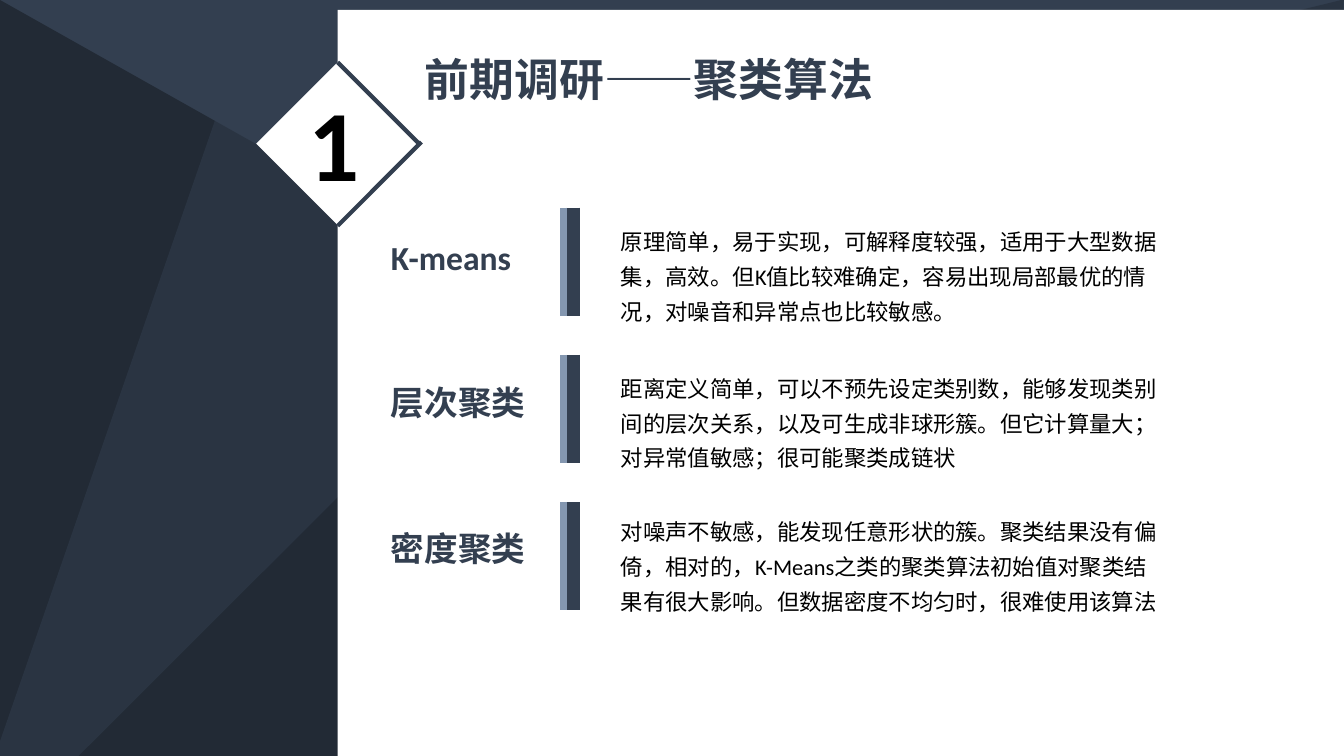
from dataclasses import dataclass

from lxml import etree
from pptx import Presentation
from pptx.dml.color import RGBColor
from pptx.enum.shapes import MSO_CONNECTOR, MSO_SHAPE
from pptx.oxml.ns import qn
from pptx.util import Cm, Pt

STRAIGHT = MSO_CONNECTOR.STRAIGHT
RECTANGLE = MSO_SHAPE.RECTANGLE
TRIANGLE = MSO_SHAPE.ISOSCELES_TRIANGLE
PARALLELOGRAM = MSO_SHAPE.PARALLELOGRAM


@dataclass(frozen=True)
class Theme:
    slate: RGBColor = RGBColor.from_string("333F50")
    night: RGBColor = RGBColor.from_string("222A35")
    steel: RGBColor = RGBColor.from_string("8497B0")
    white: RGBColor = RGBColor.from_string("FFFFFF")
    black: RGBColor = RGBColor.from_string("000000")
    latin: str = "Calibri"
    east_asian: str = "Noto Sans CJK SC"
    number: Pt = Pt(72)
    title: Pt = Pt(32)
    label: Pt = Pt(24)
    body: Pt = Pt(16)


theme = Theme()

prs = Presentation()
prs.slide_width, prs.slide_height = Cm(33.87), Cm(19.05)
s = prs.slides.add_slide(prs.slide_layouts[6])
s.background.fill.solid()
s.background.fill.fore_color.rgb = theme.slate


def add_line(shapes, x1, y1, x2, y2, color, width):
    line = shapes.add_connector(STRAIGHT, Cm(x1), Cm(y1), Cm(x2), Cm(y2))
    line.line.color.rgb = color
    line.line.width = Pt(width)
    etree.SubElement(line._element.spPr, qn("a:effectLst"))


def add_text(text, x, y, w, h, size, color, bold=True, wrap=True):
    tb = s.shapes.add_textbox(Cm(x), Cm(y), Cm(w), Cm(h))
    tf = tb.text_frame
    tf.word_wrap = wrap
    p = tf.paragraphs[0]
    r = p.add_run()
    r.text = text
    p.font.size, p.font.bold = size, bold
    p.font.color.rgb = color
    p.font.name = theme.latin
    ea = etree.SubElement(r._r.get_or_add_rPr(), qn("a:ea"))
    ea.set("typeface", theme.east_asian)
    return tf


# Faceted background: shape, box, rotation, adjustment, colour, opacity in %
facets = [
    (TRIANGLE, (0, 0, 33.87, 19.05), 0, 0, theme.night, 100),
    (PARALLELOGRAM, (-1.8, 4.27, 37.44, 10.49), 346.3, 0.25, theme.night, 50),
    (TRIANGLE, (3, -2.95, 13.74, 28.24), 199.1, 1, theme.slate, 50),
]
for kind, box, rotation, adjustment, color, opacity in facets:
    sp = s.shapes.add_shape(kind, *map(Cm, box))
    sp.rotation = rotation
    sp.adjustments[0] = adjustment
    sp.shadow.inherit = False
    sp.fill.solid()
    sp.fill.fore_color.rgb = color
    sp.line.fill.background()
    if opacity < 100:
        clr = sp._element.spPr.find(qn("a:solidFill")).find(qn("a:srgbClr"))
        etree.SubElement(clr, qn("a:alpha")).set("val", str(opacity * 1000))

# White panel and the numbered diamond on its edge
badge = s.shapes.add_group_shape()
panel = s.shapes.add_shape(RECTANGLE, Cm(8.51), Cm(0.25), Cm(25.36), Cm(18.8))
badge._element.addprevious(panel._element)
diamond = badge.shapes.add_shape(RECTANGLE, Cm(7.06), Cm(2.16), Cm(2.92), Cm(2.92))
diamond.rotation = 45
for sp in (panel, diamond):
    sp.shadow.inherit = False
    sp.fill.solid()
    sp.fill.fore_color.rgb = theme.white
    sp.line.fill.background()
add_line(badge.shapes, 8.51, 1.57, 10.57, 3.63, theme.slate, 3)
add_line(badge.shapes, 10.62, 3.58, 8.51, 5.69, theme.slate, 3)

add_text("1", 7.52, 1.9, 1.9, 3.33, theme.number, theme.black)
add_text("前期调研——聚类算法", 10.46, 1.17, 12, 1.62, theme.title, theme.slate)

# Algorithm rows: label, top of the description, description
algorithms = [
    ("K-means", 5.44,
     "原理简单，易于实现，可解释度较强，适用于大型数据集，高效。但K值比较难确定，"
     "容易出现局部最优的情况，对噪音和异常点也比较敏感。"),
    ("层次聚类", 9.14,
     "距离定义简单，可以不预先设定类别数，能够发现类别间的层次关系，"
     "以及可生成非球形簇。但它计算量大；对异常值敏感；很可能聚类成链状"),
    ("密度聚类", 12.75,
     "对噪声不敏感，能发现任意形状的簇。聚类结果没有偏倚，相对的，"
     "K-Means之类的聚类算法初始值对聚类结果有很大影响。但数据密度不均匀时，很难使用该算法"),
]
BAR_TOP, BAR_PITCH, BAR_LENGTH = 5.23, 3.71, 2.73
LABEL_TOP, LABEL_PITCH = 5.84, 3.67
for i, (label, body_top, body) in enumerate(algorithms):
    top = BAR_TOP + i * BAR_PITCH
    for x, color, width in ((14.45, theme.slate, 10), (14.2, theme.steel, 5)):
        add_line(s.shapes, x, top, x, top + BAR_LENGTH, color, width)
    add_text(label, 9.6, LABEL_TOP + i * LABEL_PITCH, 3.96, 1.27,
             theme.label, theme.slate, wrap=False)
    tf = add_text(body, 15.47, body_top, 13.9, 2.8,
                  theme.body, theme.black, bold=False)
    tf.margin_left = tf.margin_right = Cm(0.18)
    tf.margin_top = tf.margin_bottom = Cm(0.1)
    tf.paragraphs[0].line_spacing = 1.3

prs.save("out.pptx")
